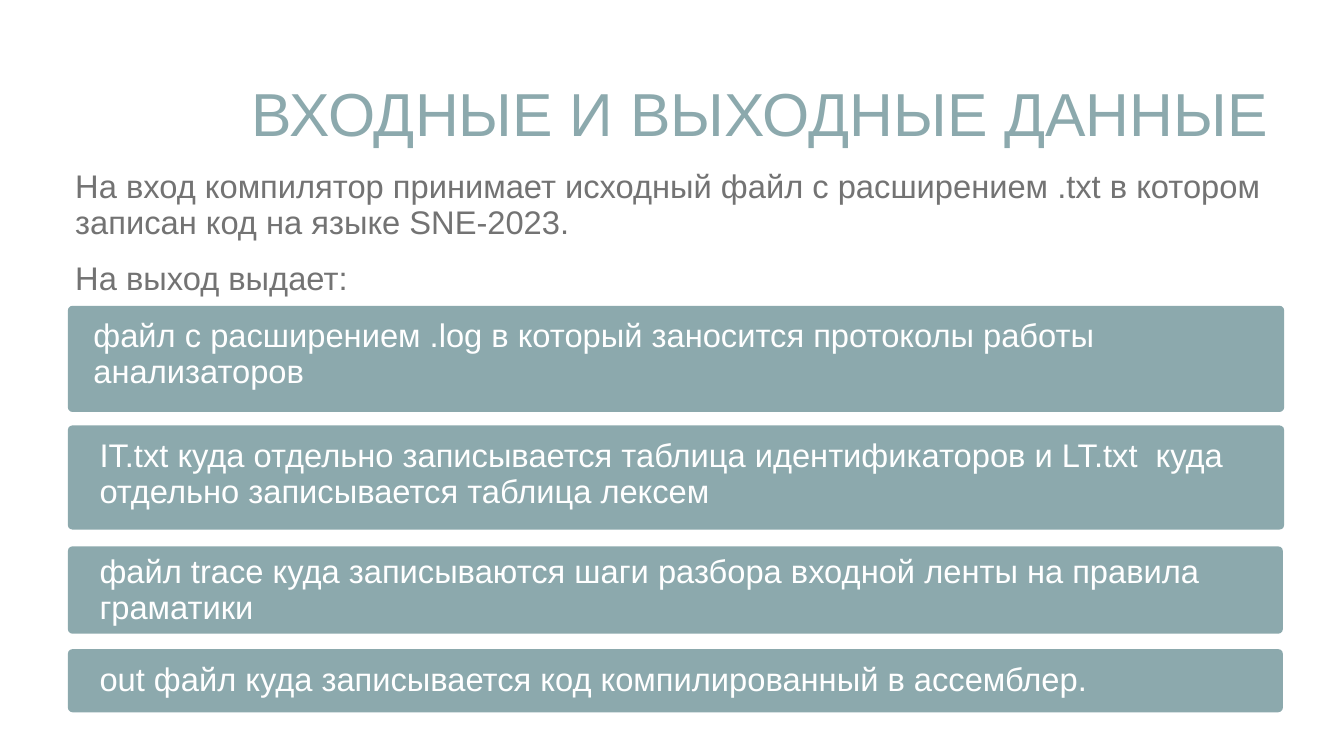
from dataclasses import dataclass

from pptx import Presentation
from pptx.dml.color import RGBColor
from pptx.enum.shapes import MSO_SHAPE
from pptx.enum.text import MSO_ANCHOR, MSO_AUTO_SIZE, PP_ALIGN
from pptx.util import Pt

TEAL = "8CA9AD"
GREY = "737373"
WHITE = "FFFFFF"
FONT = "Arial"
LINE_RATIO = 1.1
CORNER = 5
BAR_LEFT = 72.7
TEXT_WIDTH = 1225.4


@dataclass
class Label:
    text: str
    left: float
    top: float
    width: float
    height: float
    color: str = GREY
    size: float = 35
    align: PP_ALIGN = PP_ALIGN.LEFT


@dataclass
class Bar:
    top: float
    width: float
    height: float
    label: Label


def color_of(value: str) -> RGBColor:
    return RGBColor.from_string(value)


def apply_format(target, values: dict) -> None:
    for name, value in values.items():
        setattr(target, name, value)


def draw_label(page, label: Label) -> None:
    box = page.shapes.add_textbox(
        Pt(label.left), Pt(label.top), Pt(label.width), Pt(label.height)
    )
    frame = box.text_frame
    apply_format(frame, {
        "word_wrap": True,
        "auto_size": MSO_AUTO_SIZE.NONE,
        "vertical_anchor": MSO_ANCHOR.TOP,
        "margin_left": 0,
        "margin_top": 0,
        "margin_right": 0,
        "margin_bottom": 0,
    })
    para = frame.paragraphs[0]
    apply_format(para, {
        "alignment": label.align,
        "line_spacing": Pt(label.size * LINE_RATIO),
    })
    span = para.add_run()
    span.text = label.text
    apply_format(span.font, {"name": FONT, "size": Pt(label.size)})
    span.font.color.rgb = color_of(label.color)


def draw_bar(page, bar: Bar) -> None:
    shape = page.shapes.add_shape(
        MSO_SHAPE.ROUNDED_RECTANGLE,
        Pt(BAR_LEFT), Pt(bar.top), Pt(bar.width), Pt(bar.height),
    )
    shape.adjustments[0] = CORNER / min(bar.width, bar.height)
    shape.shadow.inherit = False
    shape.fill.solid()
    shape.fill.fore_color.rgb = color_of(TEAL)
    shape.line.fill.background()
    draw_label(page, bar.label)


LABELS = [
    Label("ВХОДНЫЕ И ВЫХОДНЫЕ ДАННЫЕ", 179.3, 87.8, 1180, 71.5,
          TEAL, 65, PP_ALIGN.RIGHT),
    Label("На вход компилятор принимает исходный файл с расширением .txt "
          "в котором записан код на языке SNE-2023.", 80.6, 181.4, 1278, 82.8),
    Label("На выход выдает:", 80.6, 279.4, TEXT_WIDTH, 38.5),
]

BARS = [
    Bar(327.6, 1303.2, 113.8, Label(
        "файл с расширением .log в который заносится протоколы работы "
        "анализаторов", 100.1, 341.3, TEXT_WIDTH, 82.8, WHITE)),
    Bar(455.8, 1303.2, 111.6, Label(
        "IT.txt куда отдельно записывается таблица идентификаторов и "
        "LT.txt  куда отдельно записывается таблица лексем",
        106.6, 469.4, TEXT_WIDTH, 82.8, WHITE)),
    Bar(585.4, 1301.8, 93.6, Label(
        "файл trace куда записываются шаги разбора входной ленты на "
        "правила граматики", 106.6, 593.3, TEXT_WIDTH, 78.5, WHITE)),
    Bar(695.5, 1301.8, 67.7, Label(
        "out файл куда записывается код компилированный в ассемблер.",
        106.6, 709.2, TEXT_WIDTH, 44.6, WHITE)),
]


def main() -> None:
    deck = Presentation()
    apply_format(deck, {"slide_width": Pt(1440), "slide_height": Pt(810)})
    page = deck.slides.add_slide(deck.slide_layouts[6])
    for label in LABELS:
        draw_label(page, label)
    for bar in BARS:
        draw_bar(page, bar)
    deck.save("out.pptx")


if __name__ == "__main__":
    main()
